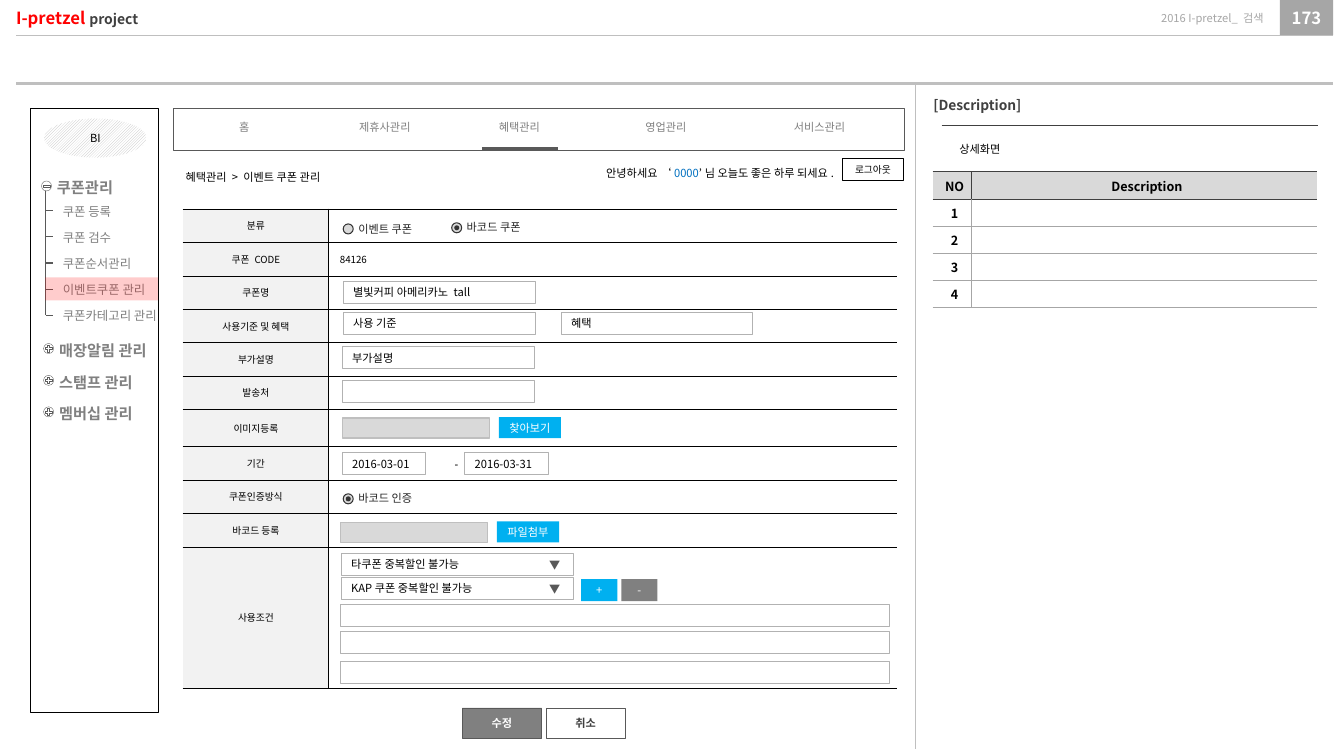
from lxml import etree
from pptx import Presentation
from pptx.dml.color import RGBColor
from pptx.enum.dml import MSO_PATTERN
from pptx.enum.shapes import MSO_CONNECTOR, MSO_SHAPE
from pptx.enum.text import MSO_ANCHOR, PP_ALIGN
from pptx.oxml.ns import qn
from pptx.util import Pt

RECT, OVAL = MSO_SHAPE.RECTANGLE, MSO_SHAPE.OVAL
PLUS, MINUS = MSO_SHAPE.MATH_PLUS, MSO_SHAPE.MATH_MINUS
STRAIGHT = MSO_CONNECTOR.STRAIGHT
LEFT, CENTER, RIGHT = PP_ALIGN.LEFT, PP_ALIGN.CENTER, PP_ALIGN.RIGHT
TOP, MIDDLE = MSO_ANCHOR.TOP, MSO_ANCHOR.MIDDLE
NOTO, ARIAL = "Noto Sans CJK KR", "Arial"
NO_MARGINS = (0, 0, 0, 0)
hex_color = RGBColor.from_string


def write(frame, runs, align=LEFT, font=NOTO):
    paragraph = frame.paragraphs[0]
    paragraph.alignment = align
    for text, size, color, bold in runs:
        run = paragraph.add_run()
        run.text = text
        run.font.size = Pt(size)
        run.font.bold = bold
        run.font.color.rgb = hex_color(color)
        run.font.name = font
        etree.SubElement(run.font._element, qn("a:ea"), typeface=NOTO)


def add_box(left, top, width, height, runs=(), kind=None, fill=None, line=None, weight=0.5,
            align=LEFT, anchor=TOP, margins=(7.2, 3.6, 7.2, 3.6), font=NOTO):
    area = (Pt(left), Pt(top), Pt(width), Pt(height))
    if kind is None:
        shape = slide.shapes.add_textbox(*area)
    else:
        shape = slide.shapes.add_shape(kind, *area)
        shape.shadow.inherit = False
        if fill:
            shape.fill.solid()
            shape.fill.fore_color.rgb = hex_color(fill)
        else:
            shape.fill.background()
        if line:
            shape.line.color.rgb = hex_color(line)
            shape.line.width = Pt(weight)
        else:
            shape.line.fill.background()
    if runs:
        frame = shape.text_frame
        frame.word_wrap = True
        frame.vertical_anchor = anchor
        frame.margin_left, frame.margin_top, frame.margin_right, frame.margin_bottom = map(Pt, margins)
        write(frame, runs, align, font)
    return shape


presentation = Presentation()
presentation.slide_width, presentation.slide_height = Pt(964), Pt(538.6)
slide = presentation.slides.add_slide(presentation.slide_layouts[6])

add_box(918, 0, 38.2, 25.2, [("173", 12, "FFFFFF", True)], RECT, "A6A6A6",
        align=CENTER, anchor=MIDDLE, margins=NO_MARGINS)
add_box(743, 0, 163.5, 25.2, [("2016 I-pretzel_ 검색", 8, "A6A6A6", False)],
        align=RIGHT, anchor=MIDDLE, margins=NO_MARGINS)
add_box(11.5, 0, 148, 25.2, [("I-pretzel ", 12, "FF0000", True), ("project", 10, "404040", True)],
        anchor=MIDDLE, margins=NO_MARGINS)
add_box(662.4, 66.2, 124.6, 19.4, [("[Description]", 9.9, "404040", True)])
add_box(681, 98.6, 60, 16.6, [("상세화면", 8, "000000", False)], font=ARIAL)

add_box(21.6, 77.8, 92.2, 433.4, kind=RECT, fill="FFFFFF", line="000000", weight=0.75)
logo = add_box(31.7, 85, 73.4, 28, [("BI", 8, "000000", False)], OVAL, align=CENTER, anchor=MIDDLE)
logo.fill.patterned()
logo.fill.pattern = MSO_PATTERN.LIGHT_UPWARD_DIAGONAL
logo.fill.fore_color.rgb = hex_color("BFBFBF")
logo.fill.back_color.rgb = hex_color("FFFFFF")

add_box(124.6, 77.8, 524.2, 30.2, kind=RECT, fill="FFFFFF", line="595959")
for left, tab in [(136.8, "홈"), (237.6, "제휴사관리"), (334.1, "혜택관리"),
                  (439.2, "영업관리"), (549.4, "서비스관리")]:
    add_box(left, 82.8, 77, 16.6, [(tab, 8, "808080", False)], align=CENTER)

rules = [
    (11.5, 59.8, 956.2, 59.8, "BFBFBF", 2.25),
    (11.5, 25.4, 956.2, 25.4, "BFBFBF", 0.25),
    (656.6, 61.2, 656.6, 537.1, "BFBFBF", 0.75),
    (675.4, 90, 945.4, 90, "404040", 0.5),
    (345.6, 106.6, 400.3, 106.6, "595959", 2.25),
    (32.6, 136.1, 32.6, 226.1, "595959", 0.5),
]
menu_items = ["쿠폰 등록", "쿠폰 검수", "쿠폰순서관리", "이벤트쿠폰 관리", "쿠폰카테고리 관리"]
for index, item in enumerate(menu_items):
    offset = 18.72 * index
    rules.append((32.8, 151.2 + offset, 38.2, 151.2 + offset, "595959", 0.75))
    add_box(38, 142.6 + offset, 89.3, 18, [(item, 8.9, "808080", False)])
for left, top, right, bottom, color, weight in rules:
    connector = slide.shapes.add_connector(STRAIGHT, Pt(left), Pt(top), Pt(right), Pt(bottom))
    connector.line.color.rgb = hex_color(color)
    connector.line.width = Pt(weight)
    etree.SubElement(connector._element.spPr, qn("a:effectLst"))

for left, top, title, sign in [(33.8, 124.6, "쿠폰관리", MINUS), (35.3, 241.2, "매장알림 관리", PLUS),
                               (35.3, 264, "스탬프 관리", PLUS), (35.3, 286.6, "멤버십 관리", PLUS)]:
    add_box(left, top, 92.2, 20.2, [(title, 10.9, "808080", True)])
    add_box(left - 4, top + 5.2, 7.2, 7.2, kind=OVAL, fill="FFFFFF", line="595959", weight=0.25)
    add_box(left - 3.6, top + 5.6, 6.4, 6.4, kind=sign, line="595959", weight=0.25)
highlight = add_box(32.4, 198.9, 80.9, 16.6, kind=RECT, fill="FF0000")
etree.SubElement(highlight._element.spPr.find(".//" + qn("a:srgbClr")), qn("a:alpha"), val="20000")

add_box(604.1, 113.8, 43.9, 15.8, kind=RECT, fill="FFFFFF", line="000000", weight=0.75)
add_box(606.2, 113.8, 43.9, 15.8, [("로그아웃", 7, "000000", False)])
add_box(427.7, 115.9, 176, 16.6, [("안녕하세요 ‘", 8, "000000", False), ("0000", 8, "0070C0", False),
                                  ("’님 오늘도 좋은 하루 되세요.", 8, "000000", False)])
add_box(126, 118.8, 220.3, 16.6, [("혜택관리 > 이벤트 쿠폰 관리", 8, "000000", False)])

description_rows = [("NO", "Description"), ("1", ""), ("2", ""), ("3", ""), ("4", "")]
form_rows = [("분류", ""), ("쿠폰 CODE", "84126"), ("쿠폰명", ""), ("사용기준 및 혜택", ""),
             ("부가설명", ""), ("발송처", ""), ("이미지등록", ""), ("기간", ""),
             ("쿠폰인증방식", ""), ("바코드 등록", ""), ("사용조건", "")]
description_fills = [("D9D9D9", "D9D9D9")] + [(None, None)] * 4
form_fills = [("F2F2F2", "FFFFFF")] * 11
tables = [
    (668.9, 123.1, (28.1, 247.7), [20.2] + [19.3] * 4, description_rows, description_fills,
     9, True, CENTER, 3.6, "A6A6A6", "404040", 1),
    (131, 149.8, (104.4, 408.2), [24] * 6 + [26.6] + [24] * 3 + [101.6], form_rows, form_fills,
     7, False, LEFT, 8.4, "000000", "000000", 0.25),
]
for (left, top, widths, heights, rows, fills, size, bold, value_align, value_margin,
     border, head_border, weight) in tables:
    table = slide.shapes.add_table(len(rows), 2, Pt(left), Pt(top),
                                   Pt(sum(widths)), Pt(sum(heights))).table
    table.first_row = table.horz_banding = False
    for column, width in enumerate(widths):
        table.columns[column].width = Pt(width)
    for row, height in enumerate(heights):
        table.rows[row].height = Pt(height)
        for column, text in enumerate(rows[row]):
            cell = table.cell(row, column)
            cell.vertical_anchor = MIDDLE
            cell.margin_left = Pt(value_margin if column or bold else 0.7)
            cell.margin_top = cell.margin_right = cell.margin_bottom = 0
            if text:
                write(cell.text_frame, [(text, size, "000000", bold)], value_align if column else CENTER)
            else:
                etree.SubElement(cell.text_frame.paragraphs[0]._p, qn("a:endParaRPr"), sz=str(size * 100))
            side_color = border if row else head_border
            top_color = border if row > 1 else head_border
            properties = cell._tc.get_or_add_tcPr()
            for side, color in [("L", side_color if column else None), ("R", None if column else side_color),
                                ("T", top_color), ("B", side_color)]:
                edge = etree.SubElement(properties, qn("a:ln" + side), w=str(Pt(weight)))
                if color:
                    paint = etree.SubElement(edge, qn("a:solidFill"))
                    etree.SubElement(paint, qn("a:srgbClr"), val=color)
                else:
                    etree.SubElement(edge, qn("a:noFill"))
            if fills[row][column]:
                cell.fill.solid()
                cell.fill.fore_color.rgb = hex_color(fills[row][column])
            else:
                cell.fill.background()

for left, top, label, selected in [(324, 159.8, "바코드 쿠폰", True), (246.2, 160.6, "이벤트 쿠폰", False),
                                   (246.2, 354.2, "바코드 인증", True)]:
    add_box(left + 7.2, top - 2.4, 52, 11.5, [(label, 8, "262626", False)],
            anchor=MIDDLE, margins=(3.6, 0.7, 0.7, 0.7), font=ARIAL)
    add_box(left, top, 7.2, 7.2, kind=OVAL, fill="D9D9D9", line="333333", weight=0.75)
    if selected:
        add_box(left + 1.8, top + 1.8, 3.6, 3.6, kind=OVAL, fill="333333")

for left, top, width, text in [
    (246.2, 201.6, 137.5, "별빛커피 아메리카노 tall"), (246.2, 223.9, 137.5, "사용 기준"),
    (402.5, 223.9, 137.5, "혜택"), (245.5, 248.6, 137.5, "부가설명"), (245.5, 272.9, 137.5, ""),
    (245.5, 324.7, 59.8, "2016-03-01"), (333.4, 324.7, 59.8, "2016-03-31"),
    (244.8, 396.7, 166.3, "타쿠폰 중복할인 불가능"), (244.8, 414, 166.3, "KAP쿠폰 중복할인 불가능"),
    (244.5, 433.4, 393.8, ""), (244.5, 452.9, 393.8, ""), (244.5, 474.5, 393.8, ""),
]:
    add_box(left, top, width, 15.8, [(text, 8, "000000", False)] if text else (),
            RECT, "FFFFFF", "B2B2B2", anchor=MIDDLE)
add_box(319, 324.7, 18, 16.6, [("-", 8, "000000", False)], font=ARIAL)
for top in (400.3, 418.1):
    add_box(387.4, top, 20.9, 9.4, [("▼", 8, "595959", False)],
            align=CENTER, anchor=MIDDLE, margins=NO_MARGINS)

for left, top in [(245.5, 299.8), (244.1, 374.6)]:
    add_box(left, top, 105.8, 14.4, kind=RECT, fill="D9D9D9", line="BFBFBF", weight=1)
for left, top, width, height, text, fill, line, color, bold in [
    (357.8, 299.1, 44.6, 15.1, "찾아보기", "00B0F0", None, "FFFFFF", False),
    (356.4, 373.9, 44.6, 15.1, "파일첨부", "00B0F0", None, "FFFFFF", False),
    (416.9, 415.4, 25.9, 15.8, "+", "00B0F0", None, "FFFFFF", False),
    (445.7, 415.4, 25.9, 15.8, "-", "808080", None, "FFFFFF", False),
    (331.6, 507.8, 56.9, 21.6, "수정", "808080", "595959", "FFFFFF", True),
    (391.7, 507.8, 56.9, 21.6, "취소", "FFFFFF", "595959", "404040", True),
]:
    add_box(left, top, width, height, [(text, 8, color, bold)], RECT, fill, line,
            align=CENTER, anchor=MIDDLE, margins=NO_MARGINS)

presentation.save("out.pptx")
